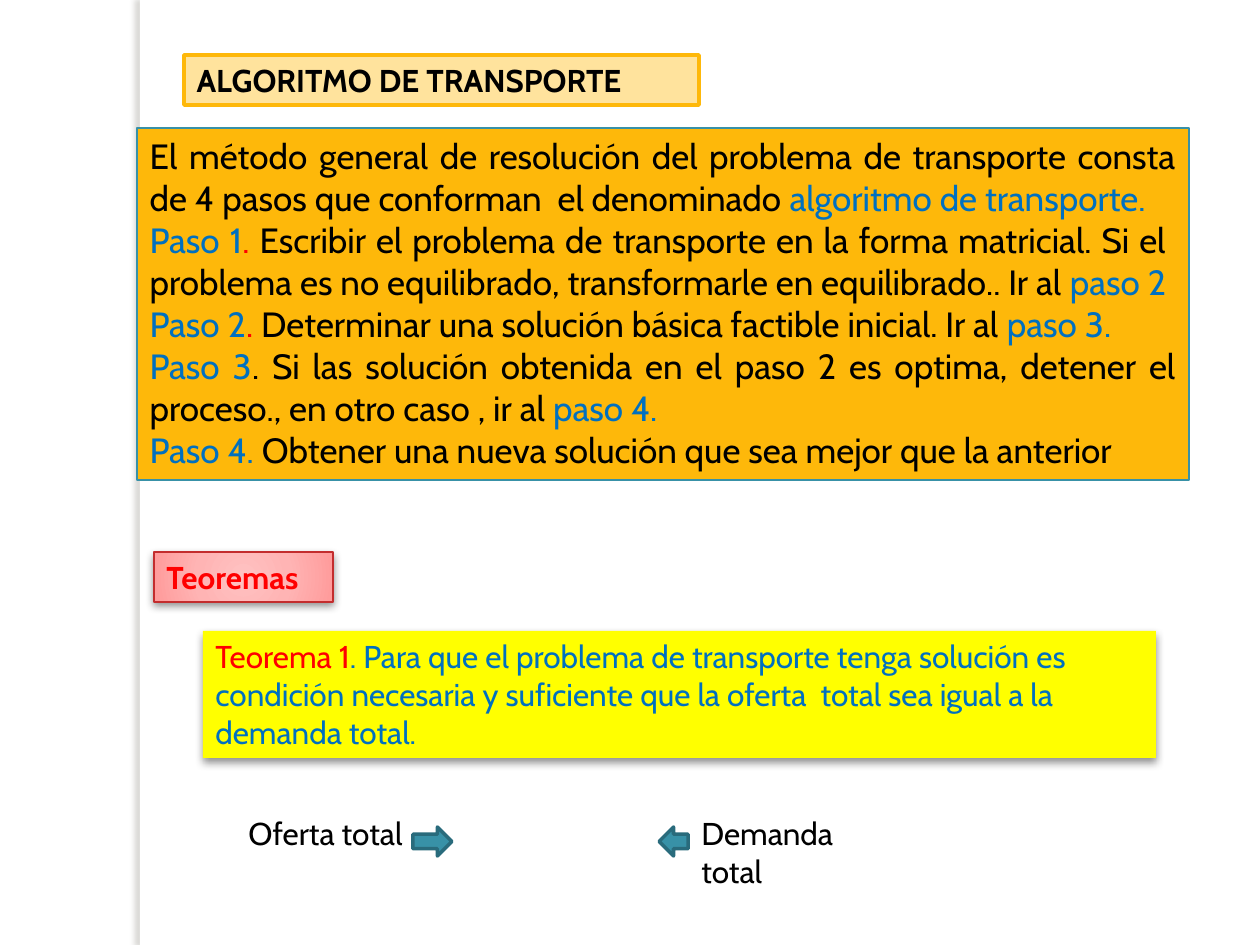
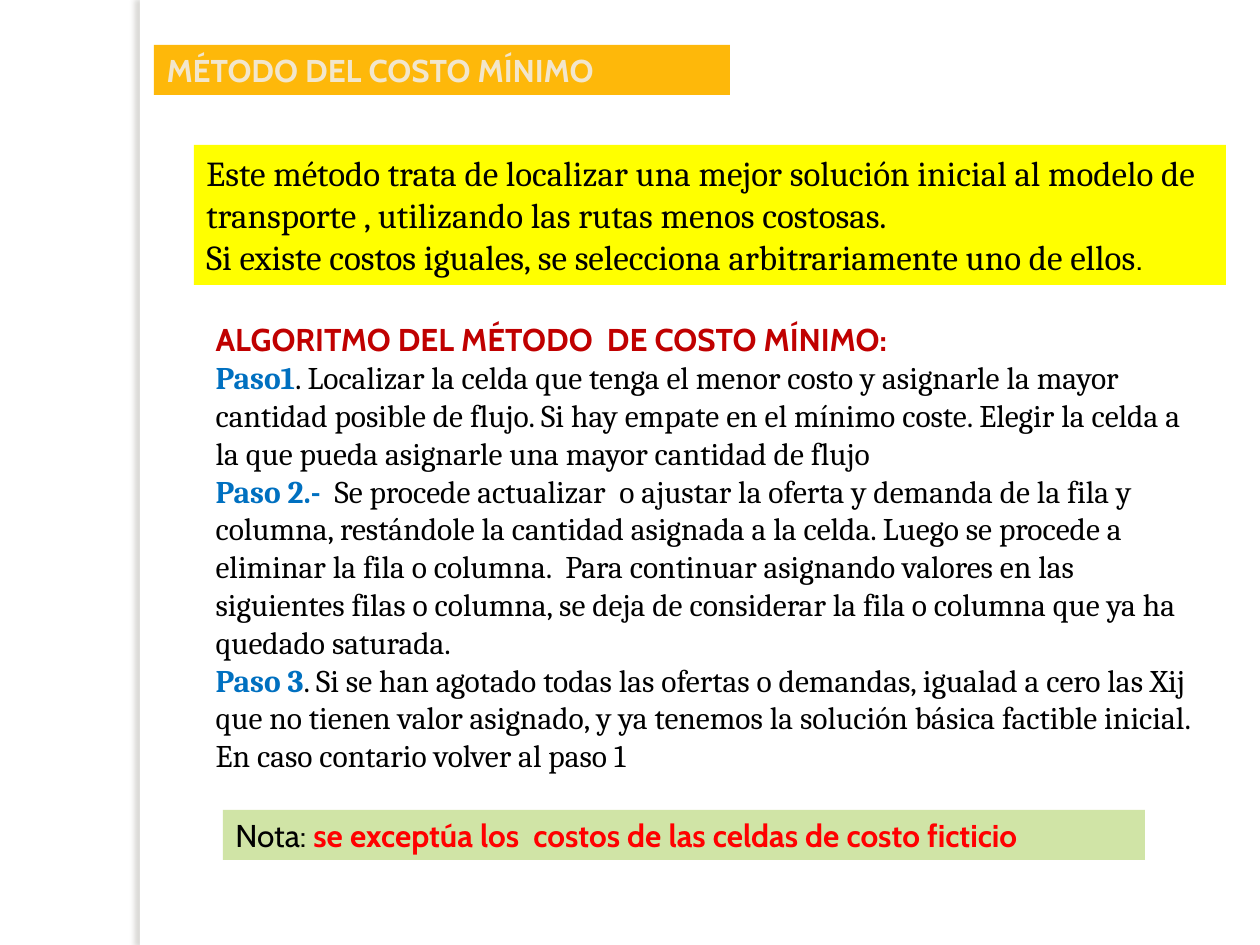
from dataclasses import dataclass
from pptx import Presentation
from pptx import util as u
from pptx.dml.color import RGBColor
from pptx.enum import shapes, text
from pptx.oxml import parse_xml
from pptx.oxml.ns import nsdecls, qn

PX = 914400 / 126


@dataclass(frozen=True)
class Theme:
    sans: str = "Cabin"
    serif: str = "Cambria"
    small: int = 18
    large: int = 20
    black: str = "000000"
    white: str = "FFFFFF"
    blue: str = "0070C0"
    red: str = "FF0000"
    wine: str = "C00000"
    cream: str = "F2E6CC"
    brown: str = "5D1F0E"
    amber: str = "FEB80A"
    pale: str = "FFE39D"
    yellow: str = "FFFF00"
    green: str = "D0E4A6"
    teal: str = "3891A7"
    deep: str = "296B7C"
    brick: str = "C32D2E"
    stone: str = "736F63"
    blush: tuple = ((0, "FFC2C2"), (50, "FFB4B4"), (97, "FF9C9C"), (100, "FF9595"))


T = Theme()


def paint(shape, fill=None, line=None, shade=None):
    """Set fill, line (colour, points) and shadow (colour, alpha, blur, distance, angle)."""
    props = shape._element.spPr
    if fill:
        shape.fill.solid()
        shape.fill.fore_color.rgb = RGBColor.from_string(fill if isinstance(fill, str) else fill[0][1])
    if fill and not isinstance(fill, str):
        stops = "".join(f'<a:gs pos="{pos * 1000}"><a:srgbClr val="{hue}"/></a:gs>' for pos, hue in fill)
        props.replace(props.find(qn("a:solidFill")), parse_xml(
            f'<a:gradFill {nsdecls("a")} rotWithShape="1"><a:gsLst>{stops}</a:gsLst><a:path path="circle">'
            '<a:fillToRect l="50000" t="50000" r="50000" b="50000"/></a:path></a:gradFill>'))
    if line:
        shape.line.color.rgb = RGBColor.from_string(line[0])
        shape.line.width = u.Pt(line[1])
    else:
        shape.line.fill.background()
    shape.shadow.inherit = False
    if shade:
        hue, alpha, blur, dist, angle = shade
        props.find(qn("a:effectLst")).append(parse_xml(
            f'<a:outerShdw {nsdecls("a")} blurRad="{u.Pt(blur)}" dist="{u.Pt(dist)}" dir="{angle * 60000}" '
            f'algn="ctr" rotWithShape="0"><a:srgbClr val="{hue}"><a:alpha val="{alpha * 1000}"/>'
            '</a:srgbClr></a:outerShdw>'))


def write(shape, paras, align=text.PP_ALIGN.LEFT):
    """Fill a shape with paragraphs, each a list of (words, (font, size, colour, bold))."""
    frame = shape.text_frame
    frame.word_wrap = True
    frame.auto_size = text.MSO_AUTO_SIZE.NONE
    frame.vertical_anchor = text.MSO_ANCHOR.TOP
    frame.text = "\n".join("" for _ in paras)
    for para, runs in zip(frame.paragraphs, paras):
        para.alignment = align
        para.space_before = u.Pt(0)
        props = para._p.get_or_add_pPr()
        props.set("marL", "0")
        props.set("indent", "0")
        props.append(parse_xml(f'<a:buNone {nsdecls("a")}/>'))
        for words, (face, size, hue, bold) in runs:
            run = para.add_run()
            run.text = words
            run.font.name, run.font.size, run.font.bold = face, u.Pt(size), bold
            run.font.color.rgb = RGBColor.from_string(hue)


# Run styles
plain = (T.sans, T.small, T.black, False)
head = (T.sans, T.small, T.black, True)
light = (T.sans, T.small, T.cream, True)
alert = (T.sans, T.small, T.red, True)
mark = (T.sans, T.small, T.red, False)
claim = (T.sans, T.small, T.blue, False)
wine = (T.sans, T.small, T.wine, True)
big = (T.sans, T.large, T.black, False)
step = (T.sans, T.large, T.blue, False)
dot = (T.sans, T.large, T.red, False)
lead = (T.serif, T.large, T.black, False)
prose = (T.serif, T.small, T.black, False)
label = (T.serif, T.small, T.blue, True)
soft = (T.black, 43, 5, 2, 90)

# Text of the two lists
method = [
    [("El método general de resolución del problema de transporte consta de 4 pasos que conforman  el denominado ", big),
     ("algoritmo de transporte.", step)],
    [("Paso 1", step), (".", dot),
     (" Escribir el problema de transporte en la forma matricial. Si el  problema es no equilibrado, "
      "transformarle en equilibrado.. Ir al ", big), ("paso 2", step)],
    [("Paso 2", step), (".", dot), (" Determinar una solución básica factible inicial. Ir al ", big), ("paso 3.", step)],
    [("Paso 3", step), (". Si las solución obtenida en el paso 2 es optima, detener el proceso., en otro caso , ir al ", big),
     ("paso 4.", step)],
    [("Paso 4. ", step), ("Obtener una nueva solución que sea mejor que la anterior ", big)],
]
least = [
    [("ALGORITMO DEL MÉTODO  DE COSTO MÍNIMO:", wine)],
    [("Paso1", label),
     (". Localizar la celda que tenga el menor costo y asignarle la mayor cantidad posible de flujo. Si hay empate "
      "en el mínimo coste. Elegir la celda a la que pueda asignarle una mayor cantidad de flujo", prose)],
    [("Paso 2.-  ", label),
     ("Se procede actualizar  o ajustar la oferta y demanda de la fila y columna, restándole la cantidad asignada "
      "a la celda. Luego se procede a eliminar la fila o columna.  Para continuar asignando valores en las "
      "siguientes filas o columna, se deja de considerar la fila o columna que ya ha quedado saturada.", prose)],
    [("Paso 3", label),
     (". Si se han agotado todas las ofertas o demandas, igualad a cero las Xij que no tienen valor asignado, "
      "y ya tenemos la solución básica factible inicial. En caso contario volver al paso 1", prose)],
]

# Each page: title, list, then boxes as (place, look, paragraphs)
pages = [
    [((184, 55, 515, 50), dict(fill=T.pale, line=(T.amber, 2)), [[("ALGORITMO DE TRANSPORTE", head)]]),
     ((137, 128, 1052, 352), dict(fill=T.amber, line=(T.teal, 0.75)), method),
     ((154, 552, 179, 50), dict(fill=T.blush, line=(T.brick, 0.75), shade=soft), [[("Teoremas", alert)]]),
     ((203, 631, 953, 127), dict(fill=T.yellow, shade=soft),
      [[("Teorema 1", mark),
        (". Para que el problema de transporte tenga solución es condición necesaria y suficiente que la oferta  "
         "total sea igual a la demanda total.", claim)]]),
     ((236, 808, 197, 50), {}, [[("Oferta total", plain)]]),
     ((689, 808, 217, 50), {}, [[("Demanda total", plain)]])],
    [((154, 45, 576, 50), dict(fill=T.amber), [[("MÉTODO DEL COSTO MÍNIMO", light)]]),
     ((203, 314, 1012, 471), {}, least),
     ((194, 145, 1032, 140), dict(fill=T.yellow),
      [[("Este método trata de localizar una mejor solución inicial al modelo de transporte , utilizando las rutas "
         "menos costosas.", lead)],
       [("Si existe costos iguales, se selecciona arbitrariamente uno de ellos", lead), (".", plain)]]),
     ((223, 810, 922, 50), dict(fill=T.green),
      [[("Nota: ", plain), ("se exceptúa los  costos de las celdas de costo ficticio", alert)]])],
]

deck = Presentation()
deck.slide_width, deck.slide_height = u.Inches(10), u.Inches(7.5)
slides = []
for page in pages:
    slide = deck.slides.add_slide(deck.slide_layouts[1])
    slides.append(slide)
    for spot, (place, look, paras) in enumerate(page):
        left, top, width, height = (round(n * PX) for n in place)
        if spot < 2:
            box = slide.placeholders[spot]
            box.left, box.top, box.width, box.height = left, top, width, height
        else:
            box = slide.shapes.add_textbox(left, top, width, height)
        paint(box, **look)
        write(box, paras, text.PP_ALIGN.JUSTIFY if paras is method else text.PP_ALIGN.LEFT)

# Arrows between supply and demand
first, second = slides
for kind, left, width in ((shapes.MSO_SHAPE.LEFT_ARROW, 659, 29), (shapes.MSO_SHAPE.RIGHT_ARROW, 413, 39)):
    arrow = first.shapes.add_shape(kind, *(round(n * PX) for n in (left, 827, width, 29)))
    paint(arrow, T.teal, (T.deep, 2))

# Outlined letters of the second title
for run in second.shapes.title.text_frame.paragraphs[0].runs:
    run._r.get_or_add_rPr().insert(0, parse_xml(
        f'<a:ln {nsdecls("a")} w="{u.Pt(1)}"><a:solidFill><a:srgbClr val="{T.brown}"/></a:solidFill></a:ln>'))

# Side band, shared through the master
band = first.shapes.add_shape(shapes.MSO_SHAPE.RECTANGLE, *(round(n * PX) for n in (140, 0, 10, 945)))
paint(band, T.white, shade=(T.stone, 25, 3, 3, 180))
deck.slide_master.shapes._spTree.insert(2, band._element)

deck.save("out.pptx")
